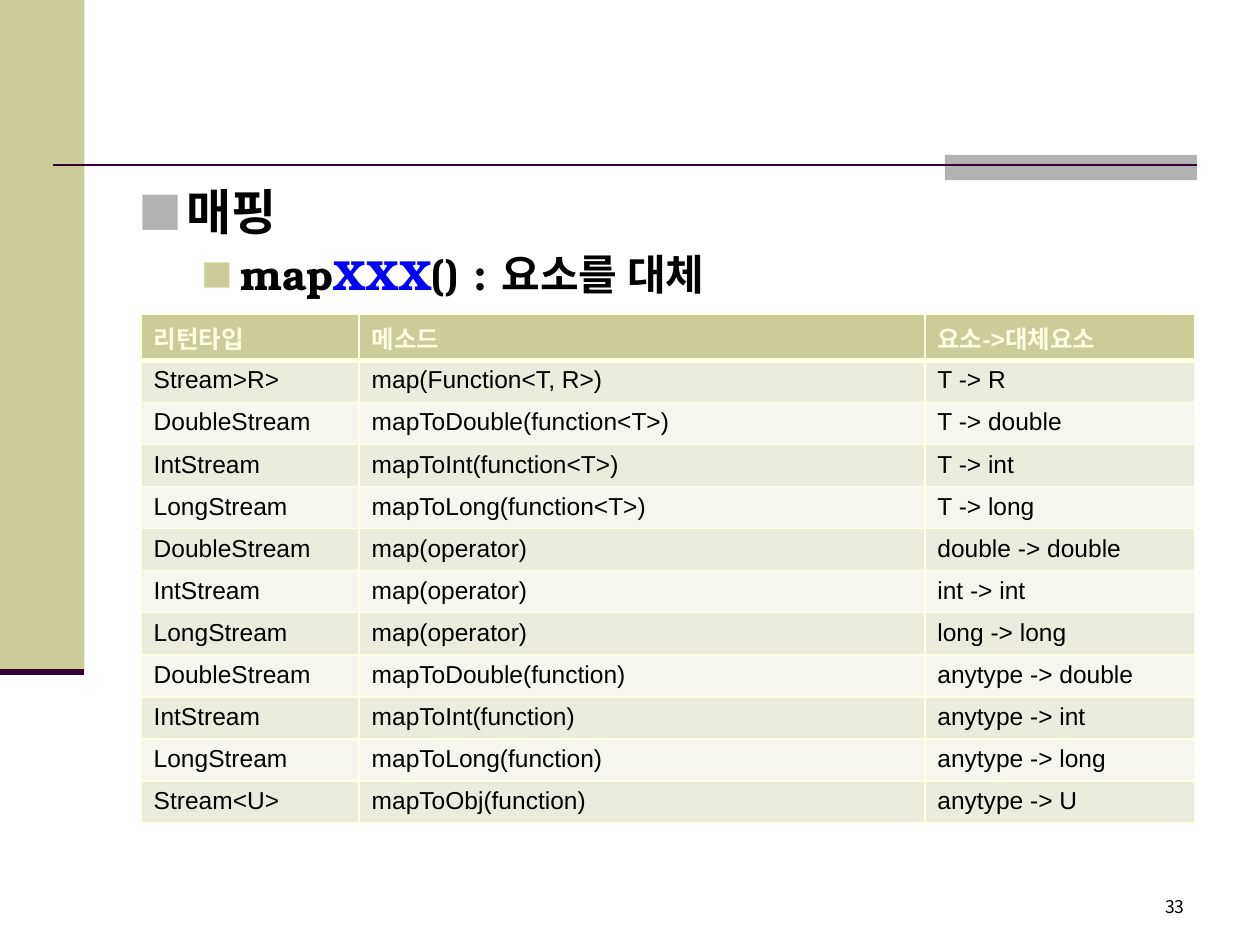
from dataclasses import dataclass

from lxml.etree import SubElement
from pptx import Presentation
from pptx.dml.color import RGBColor
from pptx.enum.shapes import MSO_CONNECTOR, MSO_SHAPE
from pptx.enum.text import MSO_ANCHOR, PP_ALIGN
from pptx.oxml.ns import qn
from pptx.util import Inches, Pt

COLORS = {
    "khaki": "CCCC99",
    "gray": "B2B2B2",
    "plum": "330033",
    "black": "000000",
    "blue": "0000FF",
    "cream": "FFFFE1",
    "odd_row": "ECECDE",
    "even_row": "F6F6EF",
}
HEADING_FONT = "TeX Gyre Bonum"
KOREAN_FONT = "Noto Sans CJK KR"
TABLE_FONT = "Arial"
HEADER = ("리턴타입", "메소드", "요소->대체요소")
MAPPINGS = (
    ("Stream>R>", "map(Function<T, R>)", "T -> R"),
    ("DoubleStream", "mapToDouble(function<T>)", "T -> double"),
    ("IntStream", "mapToInt(function<T>)", "T -> int"),
    ("LongStream", "mapToLong(function<T>)", "T -> long"),
    ("DoubleStream", "map(operator)", "double -> double"),
    ("IntStream", "map(operator)", "int -> int"),
    ("LongStream", "map(operator)", "long -> long"),
    ("DoubleStream", "mapToDouble(function)", "anytype -> double"),
    ("IntStream", "mapToInt(function)", "anytype -> int"),
    ("LongStream", "mapToLong(function)", "anytype -> long"),
    ("Stream<U>", "mapToObj(function)", "anytype -> U"),
)
COLUMN_WIDTHS = (1.73, 4.49, 2.14)
HEADER_HEIGHT, ROW_HEIGHT = 0.37, 0.32


@dataclass
class Band:
    """A plain filled rectangle."""

    left: float
    top: float
    width: float
    height: float
    color: str


@dataclass
class Rule:
    """A horizontal line."""

    start: float
    end: float
    top: float
    weight: float


@dataclass
class Style:
    """The look of a span of text."""

    font: str
    size: float
    color: str = "black"
    bold: bool = False


@dataclass
class Bullet:
    """A square bullet with its paragraph indents."""

    margin: float
    hanging: float
    color: str
    percent: int
    level: int = 0


def rgb(color: str) -> RGBColor:
    return RGBColor.from_string(COLORS[color])


def add_span(para, text: str, style: Style) -> None:
    """Append one styled run."""
    span = para.add_run()
    span.text = text
    span.font.name = style.font
    span.font.size = Pt(style.size)
    span.font.bold = style.bold
    span.font.color.rgb = rgb(style.color)
    SubElement(span.font._element, qn("a:ea"), typeface=KOREAN_FONT)


def add_band(page, band: Band) -> None:
    """Draw a rectangle without outline."""
    shape = page.shapes.add_shape(MSO_SHAPE.RECTANGLE, Inches(band.left), Inches(band.top),
                                  Inches(band.width), Inches(band.height))
    shape.shadow.inherit = False
    shape.fill.solid()
    shape.fill.fore_color.rgb = rgb(band.color)
    shape.line.fill.background()


def add_rule(page, rule: Rule) -> None:
    """Draw a horizontal line without shadow."""
    line = page.shapes.add_connector(MSO_CONNECTOR.STRAIGHT, Inches(rule.start), Inches(rule.top),
                                     Inches(rule.end), Inches(rule.top))
    line.line.color.rgb = rgb("plum")
    line.line.width = Pt(rule.weight)
    SubElement(line._element.spPr, qn("a:effectLst"))


def add_frame(page, left: float, top: float, width: float, height: float):
    """Add a wrapping text box and return its text frame."""
    box = page.shapes.add_textbox(Inches(left), Inches(top), Inches(width), Inches(height))
    box.text_frame.word_wrap = True
    return box.text_frame


def set_bullet(para, bullet: Bullet) -> None:
    """Give a paragraph a square bullet and a hanging indent."""
    para.level = bullet.level
    properties = para._p.get_or_add_pPr()
    properties.set("marL", str(Inches(bullet.margin)))
    properties.set("indent", str(-Inches(bullet.hanging)))
    color = SubElement(properties, qn("a:buClr"))
    SubElement(color, qn("a:srgbClr"), val=COLORS[bullet.color])
    SubElement(properties, qn("a:buSzPct"), val=str(bullet.percent * 1000))
    SubElement(properties, qn("a:buFont"), typeface=KOREAN_FONT)
    SubElement(properties, qn("a:buChar"), char="■")


def set_border(cell, side: str, weight: float) -> None:
    """Draw one cream cell border."""
    line = SubElement(cell._tc.get_or_add_tcPr(), qn(f"a:ln{side}"), w=str(Pt(weight)))
    fill = SubElement(line, qn("a:solidFill"))
    SubElement(fill, qn("a:srgbClr"), val=COLORS["cream"])


def fill_row(table, index: int, texts: tuple[str, ...]) -> None:
    """Write and colour one table row."""
    if index == 0:
        fill, style = "khaki", Style(TABLE_FONT, 14, "cream", True)
    else:
        fill, style = ("odd_row" if index % 2 else "even_row"), Style(TABLE_FONT, 14)
    weights = {"L": 1, "R": 1, "T": 3 if index == 1 else 1, "B": 3 if index == 0 else 1}
    table.rows[index].height = Inches(ROW_HEIGHT if index else HEADER_HEIGHT)
    for cell, text in zip(table.rows[index].cells, texts):
        for side, weight in weights.items():
            set_border(cell, side, weight)
        cell.fill.solid()
        cell.fill.fore_color.rgb = rgb(fill)
        cell.vertical_anchor = MSO_ANCHOR.TOP
        add_span(cell.text_frame.paragraphs[0], text, style)


def add_mapping_table(page) -> None:
    """Add the table of mapping methods."""
    rows = (HEADER, *MAPPINGS)
    height = HEADER_HEIGHT + ROW_HEIGHT * len(MAPPINGS)
    table = page.shapes.add_table(len(rows), len(HEADER), Inches(1.12), Inches(2.49),
                                  Inches(sum(COLUMN_WIDTHS)), Inches(height)).table
    for column, width in zip(table.columns, COLUMN_WIDTHS):
        column.width = Inches(width)
    for index, texts in enumerate(rows):
        fill_row(table, index, texts)


def main() -> None:
    """Build the slide and save it."""
    deck = Presentation()
    deck.slide_width, deck.slide_height = Inches(10), Inches(7.5)
    page = deck.slides.add_slide(deck.slide_layouts[6])
    add_band(page, Band(0, 0, 0.67, 5.33, "khaki"))
    add_band(page, Band(7.5, 1.23, 2, 0.2, "gray"))
    add_rule(page, Rule(0.42, 9.5, 1.31, 1.5))
    add_rule(page, Rule(0, 0.67, 5.33, 3.5))

    body = add_frame(page, 1, 1.39, 8.5, 1.1)
    title = body.paragraphs[0]
    set_bullet(title, Bullet(0.38, 0.38, "gray", 90))
    add_span(title, "매핑", Style(HEADING_FONT, 28, bold=True))
    topic = body.add_paragraph()
    topic.space_before = Pt(4.8)
    set_bullet(topic, Bullet(0.81, 0.31, "khaki", 75, 1))
    for text, color in (("map", "black"), ("XXX", "blue"), ("() : 요소를 대체", "black")):
        add_span(topic, text, Style(HEADING_FONT, 24, color, True))

    number = add_frame(page, 7.42, 7.06, 2.08, 0.28).paragraphs[0]
    number.alignment = PP_ALIGN.RIGHT
    add_span(number, "33", Style(KOREAN_FONT, 10))
    add_mapping_table(page)
    deck.save("out.pptx")


if __name__ == "__main__":
    main()
